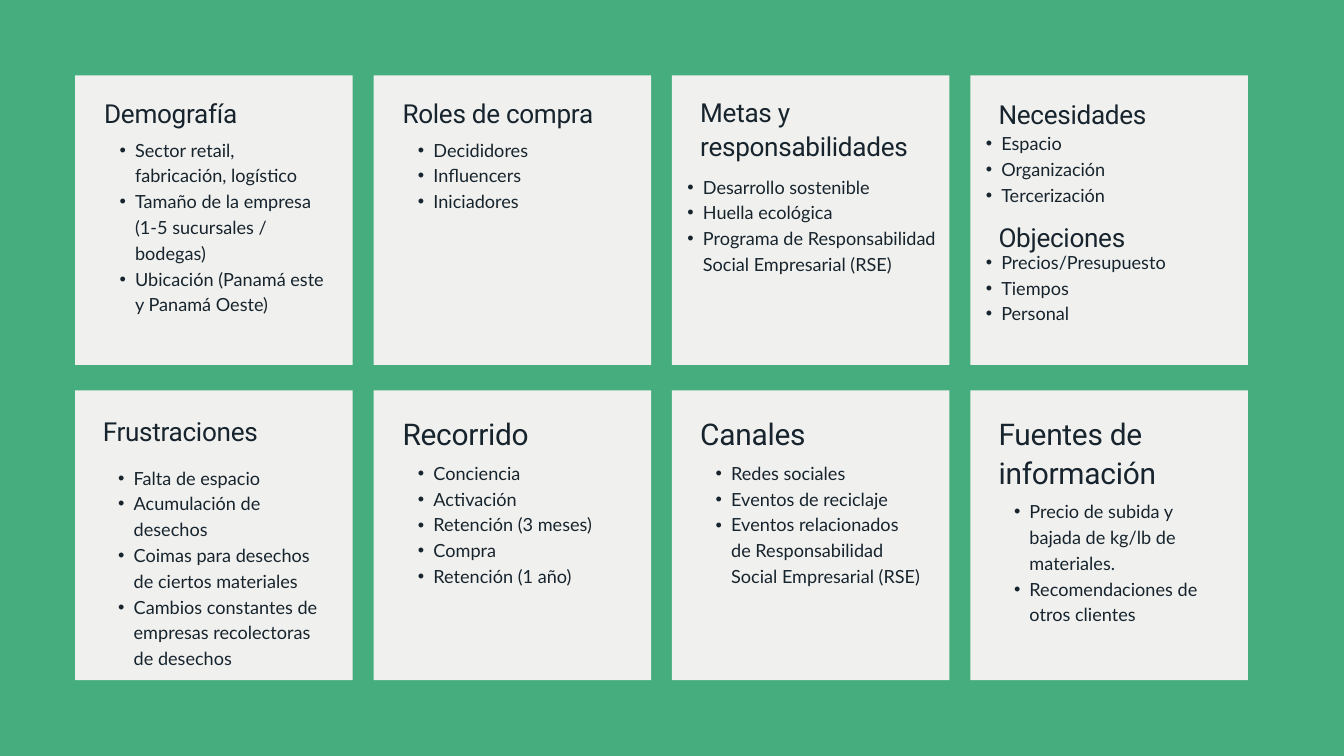
from lxml.etree import SubElement as Sub
from pptx import Presentation
from pptx.dml.color import RGBColor as Rgb
from pptx.enum.shapes import MSO_SHAPE as Shape
from pptx.enum.text import MSO_AUTO_SIZE as Fit
from pptx.oxml.ns import qn
from pptx.util import Pt

UNIT = 9144
COLORS = {"back": "45AD7E", "card": "F0F0EE", "text": "17242D"}
LEFT, TOP, WIDE, HIGH = 112, 112, 413, 431
STEP_X, STEP_Y = 444, 469
INNER = 328

CARDS = [
    [("Demografía", 28, 43, 29, 43, 89, INNER, [
        "Sector retail, fabricación, logístico",
        "Tamaño de la empresa (1-5 sucursales / bodegas)",
        "Ubicación (Panamá este y Panamá Oeste)"])],
    [("Roles de compra", 28, 43, 29, 43, 89, INNER, [
        "Decididores", "Influencers", "Iniciadores"])],
    [("Metas y responsabilidades", 28, 42, 28, 0, 144, WIDE, [
        "Desarrollo sostenible", "Huella ecológica",
        "Programa de Responsabilidad Social Empresarial (RSE)"])],
    [("Necesidades", 28, 42, 30, 0, 79, WIDE, [
        "Espacio", "Organización", "Tercerización"]),
     ("Objeciones", 28, 42, 213, 0, 256, WIDE, [
         "Precios/Presupuesto", "Tiempos", "Personal"])],
    [("Frustraciones", 28, 41, 33, 41, 108, 330, [
        "Falta de espacio", "Acumulación de desechos",
        "Coimas para desechos de ciertos materiales",
        "Cambios constantes de empresas recolectoras de desechos"])],
    [("Recorrido", 32, 43, 33, 43, 101, INNER, [
        "Conciencia", "Activación", "Retención (3 meses)", "Compra",
        "Retención (1 año)"])],
    [("Canales", 32, 42, 33, 42, 101, INNER, [
        "Redes sociales", "Eventos de reciclaje",
        "Eventos relacionados de Responsabilidad Social Empresarial (RSE)"])],
    [("Fuentes de información", 32, 42, 33, 42, 158, INNER, [
        "Precio de subida y bajada de kg/lb de materiales.",
        "Recomendaciones de otros clientes"])],
]


def px(n):
    return n * UNIT


def color(name):
    return Rgb.from_string(COLORS[name])


def add_text(slide, x, y, wide, high, lines):
    box = slide.shapes.add_textbox(px(x), px(y), px(wide), px(high))
    frame = box.text_frame
    frame.margin_left = frame.margin_right = 0
    frame.margin_top = frame.margin_bottom = 0
    frame.text = "\n".join(lines)
    frame.word_wrap = True
    frame.auto_size = Fit.SHAPE_TO_FIT_TEXT
    return frame.paragraphs


def style(para, face, size, lead):
    para.line_spacing = Pt(lead)
    for run in para.runs:
        run.font.name = face
        run.font.size = Pt(size)
        run.font.color.rgb = color("text")


def add_title(slide, x, y, text, size):
    para = add_text(slide, x, y, INNER, 49, [text])[0]
    style(para, "Roboto", size, size * 1.3)
    para.runs[0].font._element.set("spc", "-30")


def add_list(slide, x, y, wide, items):
    for para in add_text(slide, x, y, wide, 37 * len(items), items):
        para.level = 1
        props = para._p.get_or_add_pPr()
        props.set("marL", str(px(46)))
        props.set("indent", str(px(-23)))
        Sub(props, qn("a:buFont")).set("typeface", "Arial")
        Sub(props, qn("a:buChar")).set("char", "•")
        style(para, "Lato", 19.4, 27.6)


def add_card(slide, x, y, parts):
    card = slide.shapes.add_shape(Shape.RECTANGLE, px(x), px(y), px(WIDE), px(HIGH))
    card.shadow.inherit = False
    card.fill.solid()
    card.fill.fore_color.rgb = color("card")
    card.line.fill.background()
    for title, size, title_x, title_y, list_x, list_y, wide, items in parts:
        add_title(slide, x + title_x, y + title_y, title, size)
        add_list(slide, x + list_x, y + list_y, wide, items)


def main():
    deck = Presentation()
    deck.slide_width, deck.slide_height = px(2000), px(1125)
    slide = deck.slides.add_slide(deck.slide_layouts[6])
    slide.background.fill.solid()
    slide.background.fill.fore_color.rgb = color("back")
    for i, parts in enumerate(CARDS):
        row, col = divmod(i, 4)
        add_card(slide, LEFT + col * STEP_X, TOP + row * STEP_Y, parts)
    deck.save("out.pptx")


if __name__ == "__main__":
    main()
